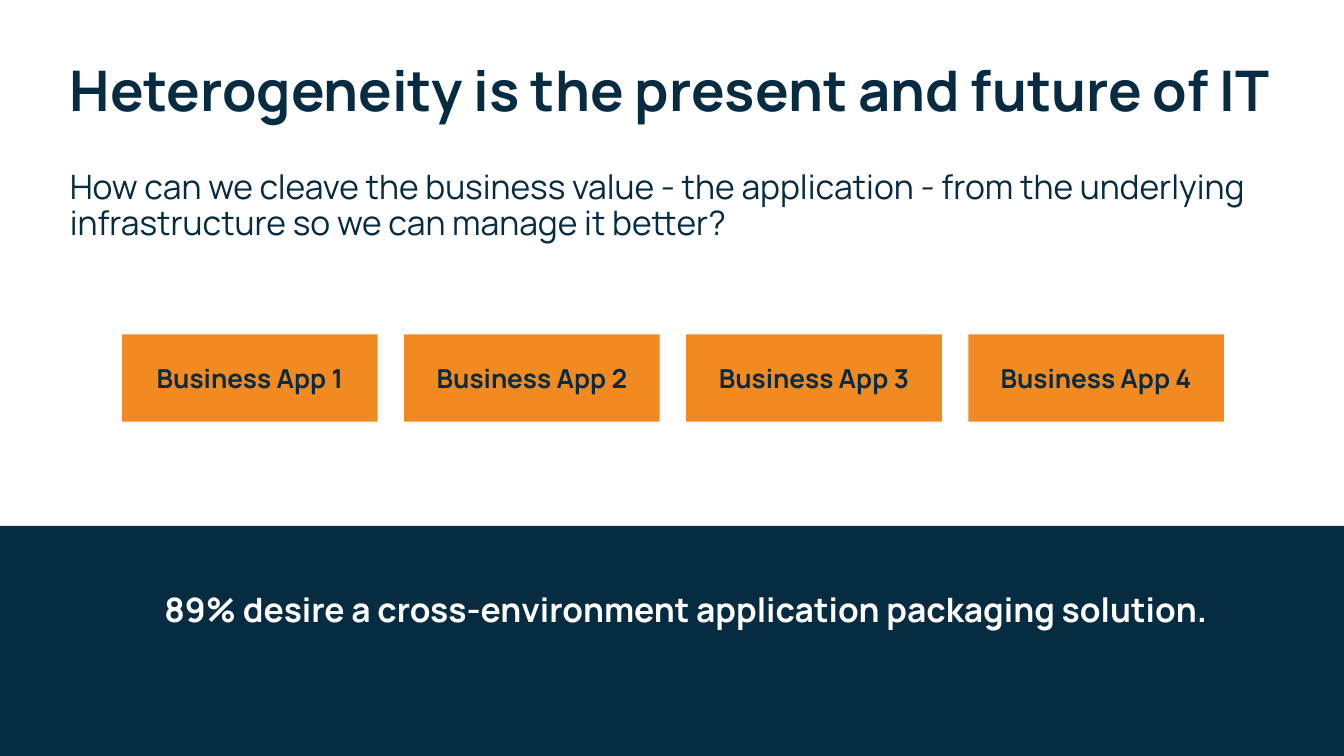
from pptx import Presentation
from pptx.dml.color import RGBColor
from pptx.enum.shapes import MSO_SHAPE
from pptx.enum.text import MSO_ANCHOR, PP_ALIGN
from pptx.util import Cm, Pt

# Content
TITLE = "Heterogeneity is the present and future of IT"
QUESTION = ("How can we cleave the business value - the application - from the "
            "underlying infrastructure so we can manage it better?")
APPS = ["Business App 1", "Business App 2", "Business App 3", "Business App 4"]
STATEMENT = "89% desire a cross-environment application packaging solution."

# Style
FONT = "Manrope"
NAVY = RGBColor(0x07, 0x2B, 0x41)
ORANGE = RGBColor(0xF1, 0x8B, 0x21)
WHITE = RGBColor(0xFF, 0xFF, 0xFF)

# Layout in cm
SLIDE_W, SLIDE_H = 25.4, 14.29
BAND_TOP = 9.94
TEXT_LEFT, TEXT_W = 1.07, 23.29
APP_LEFT, APP_TOP, APP_W, APP_H, APP_STEP = 2.31, 6.32, 4.83, 1.65, 5.33
INSET = 0.25


def write(s, text, size, color=NAVY, bold=False, align=PP_ALIGN.LEFT,
          anchor=MSO_ANCHOR.TOP, spacing=0.9, top_inset=INSET):
    tf = s.text_frame
    tf.word_wrap = True
    tf.vertical_anchor = anchor
    tf.margin_left = tf.margin_right = tf.margin_bottom = Cm(INSET)
    tf.margin_top = Cm(top_inset)
    p = tf.paragraphs[0]
    p.alignment = align
    p.line_spacing = spacing
    r = p.add_run()
    r.text = text
    r.font.name = FONT
    r.font.size = Pt(size)
    r.font.bold = bold
    r.font.color.rgb = color


def add_text(left, top, width, height, text, size, **style):
    s = slide.shapes.add_textbox(Cm(left), Cm(top), Cm(width), Cm(height))
    write(s, text, size, **style)


def add_rect(left, top, width, height, fill):
    s = slide.shapes.add_shape(MSO_SHAPE.RECTANGLE,
                               Cm(left), Cm(top), Cm(width), Cm(height))
    s.shadow.inherit = False
    s.fill.solid()
    s.fill.fore_color.rgb = fill
    s.line.fill.background()
    return s


prs = Presentation()
prs.slide_width, prs.slide_height = Cm(SLIDE_W), Cm(SLIDE_H)
slide = prs.slides.add_slide(prs.slide_layouts[6])

# Bottom band
add_rect(0, BAND_TOP, SLIDE_W, SLIDE_H - BAND_TOP, NAVY)

# Title and question
add_text(TEXT_LEFT, 0.94, TEXT_W, 1.14, TITLE, 30, bold=True)
add_text(TEXT_LEFT, 2.97, TEXT_W, 6.15, QUESTION, 18)

# Statement on the band
add_text(1.32, 10.41, TEXT_W, 3.28, STATEMENT, 18, color=WHITE, bold=True,
         align=PP_ALIGN.CENTER, top_inset=1.19)

# Row of business apps
for i, app in enumerate(APPS):
    s = add_rect(APP_LEFT + i * APP_STEP, APP_TOP, APP_W, APP_H, ORANGE)
    write(s, app, 14, bold=True, align=PP_ALIGN.CENTER,
          anchor=MSO_ANCHOR.MIDDLE, spacing=1.0)

prs.save("out.pptx")
